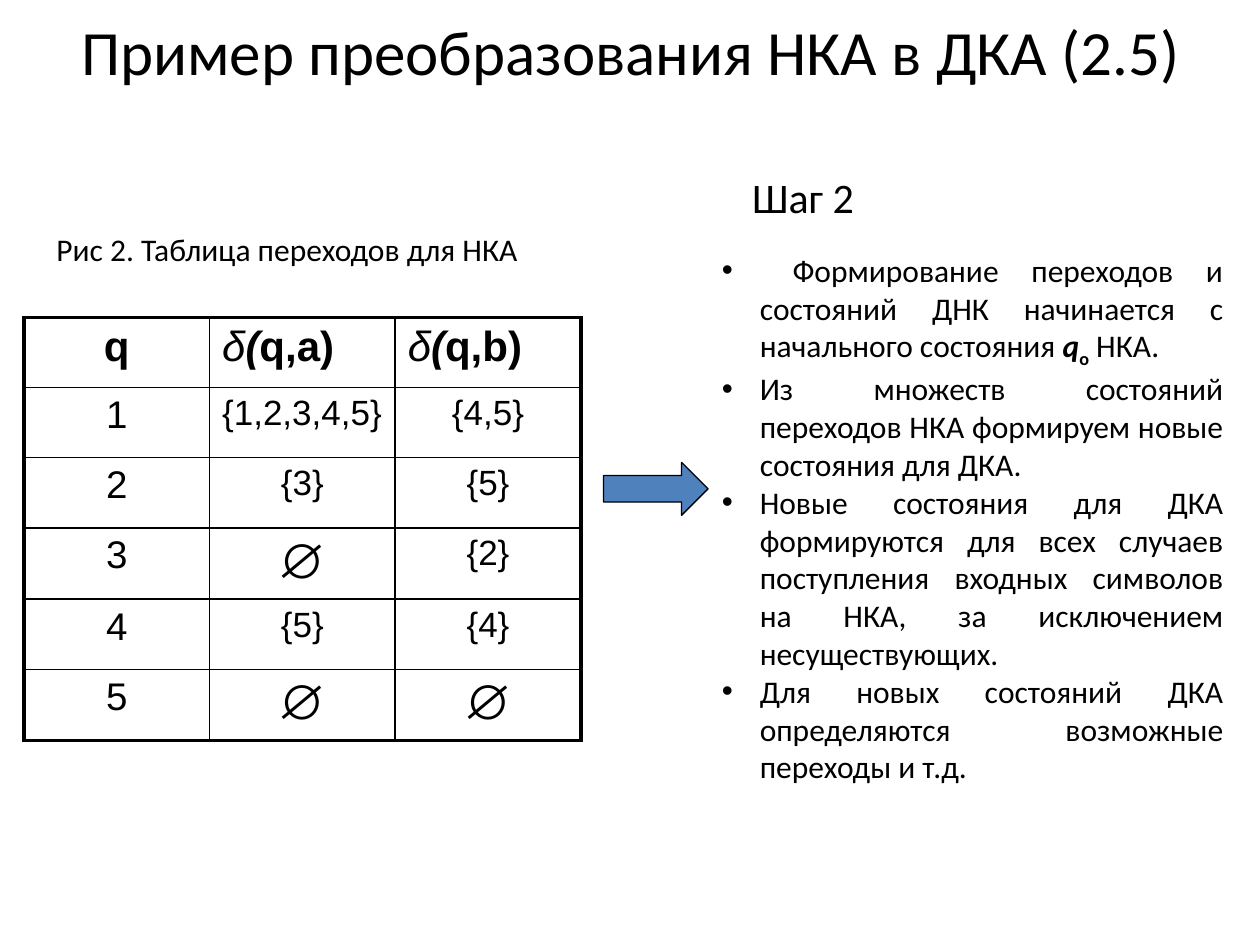
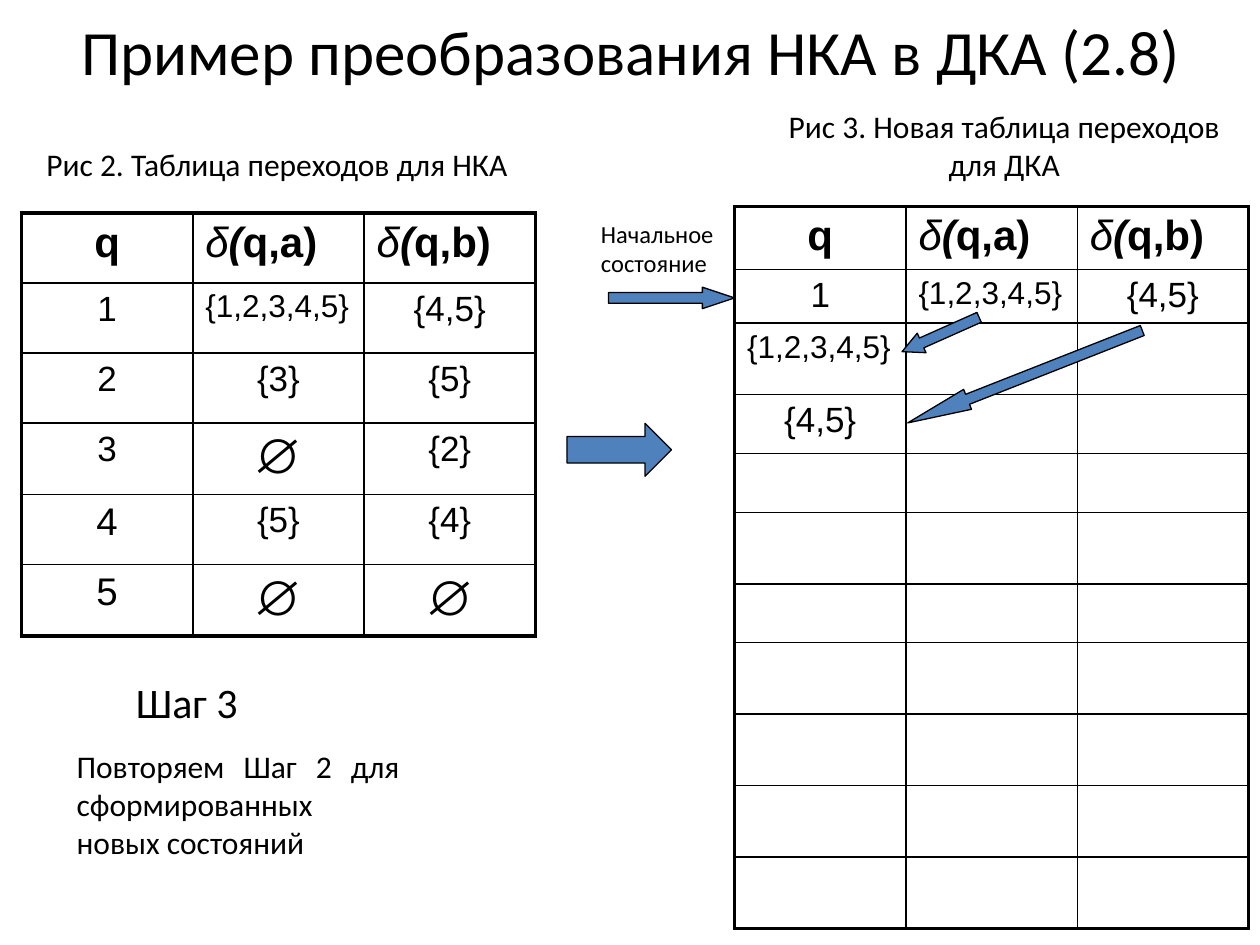
from dataclasses import dataclass
from typing import NamedTuple

from lxml import etree
from pptx import Presentation
from pptx import util as u
from pptx.dml.color import RGBColor
from pptx.enum import shapes, text
from pptx.oxml.ns import qn


@dataclass(frozen=True)
class Theme:
    body_font: str = "Calibri"
    table_font: str = "Arial"
    ink: str = "000000"
    accent: str = "4F81BD"
    title: int = 36
    step: int = 24
    body: int = 18
    note: int = 14
    header: int = 24
    states: int = 20
    empty_set: int = 28
    outline: float = 0.75
    outer_border: float = 2.25
    inner_border: float = 1


THEME = Theme()
WIDTH, HEIGHT = u.Inches(10), u.Inches(7.5)
ALL_STATES = "{1,2,3,4,5}"
HEADER = ("q", "δ(q,a)", "δ(q,b)")
NFA_ROWS = (
    HEADER,
    ("1", ALL_STATES, "{4,5}"),
    ("2", "{3}", "{5}"),
    ("3", "∅", "{2}"),
    ("4", "{5}", "{4}"),
    ("5", "∅", "∅"),
)
BLANK_ROW = ("", "", "")
DFA_ROWS = (
    HEADER,
    ("1", ALL_STATES, "{4,5}"),
    (ALL_STATES, "", ""),
    ("{4,5}", "", ""),
) + (BLANK_ROW,) * 7
NFA_HEIGHTS = (56, 56, 56, 57, 56, 57)
DFA_HEIGHTS = (50, 43, 57, 47, 47, 57, 47, 57, 57, 57, 57)
NFA_CAPTION = "Рис 2. Таблица переходов для НКА"


class Box(NamedTuple):
    """Percentages of the slide's width and height."""
    left: float
    top: float
    width: float
    height: float

    def emu(self) -> tuple[int, ...]:
        sides = (WIDTH, HEIGHT, WIDTH, HEIGHT)
        return tuple(round(side * share / 100) for side, share in zip(sides, self))


@dataclass(frozen=True)
class Label:
    box: Box
    words: str
    size: int
    align: text.PP_ALIGN = text.PP_ALIGN.LEFT
    wrap: bool = True


@dataclass(frozen=True)
class Arrow:
    box: Box
    head: float = 0.5
    kind: shapes.MSO_SHAPE = shapes.MSO_SHAPE.RIGHT_ARROW
    rotation: float = 0


@dataclass(frozen=True)
class TransitionTable:
    box: Box
    rows: tuple[tuple[str, ...], ...]
    heights: tuple[int, ...]
    state_sizes: tuple[int, ...]
    wide_size: int

    def size_at(self, row: int, column: int) -> int:
        entry = self.rows[row][column]
        if row == 0:
            return THEME.header
        if entry == ALL_STATES:
            return self.wide_size
        if entry == "∅":
            return THEME.empty_set
        if column == 0 and row <= len(self.state_sizes):
            return self.state_sizes[row - 1]
        return THEME.states


TITLE_BOX = Box(2, 0.67, 96.1, 9.33)
RULES_BOX = Box(56.3, 25.87, 41.8, 57.87)
RULES = (
    (" Формирование переходов и состояний ДНК начинается с начального состояния ", "q", "o", " НКА."),
    ("Из множеств состояний переходов НКА формируем новые состояния для ДКА.",),
    ("Новые состояния для ДКА формируются для всех случаев поступления входных "
     "символов на НКА, за исключением несуществующих.",),
    ("Для новых состояний ДКА определяются возможные переходы и т.д.",),
)

STEP_2 = (
    Arrow(Box(47.9, 48.93, 8.3, 5.6)),
    TransitionTable(Box(1.9, 33.6, 44.2, 44.8), NFA_ROWS, NFA_HEIGHTS, (22,) * 5, 20),
    Label(Box(3.5, 23.73, 39, 5.33), NFA_CAPTION, THEME.body, wrap=False),
    Label(Box(58.7, 17.47, 10.2, 6.8), "Шаг 2", THEME.step, wrap=False),
)
STEP_3 = (
    TransitionTable(Box(1.7, 22.53, 40.8, 44.8), NFA_ROWS, NFA_HEIGHTS, (20, 20, 20, 22, 22), 18),
    TransitionTable(Box(58.3, 21.87, 40.8, 76.4), DFA_ROWS, DFA_HEIGHTS, (20,), 18),
    Arrow(Box(48.3, 30.4, 10, 2.27), head=1.5),
    Arrow(Box(45, 44.8, 8.3, 5.6)),
    Label(Box(46.7, 22.53, 12.5, 7.6), "Начальное состояние", THEME.note),
    Label(Box(2.7, 14.67, 39, 5.33), NFA_CAPTION, THEME.body, wrap=False),
    Label(Box(61, 10.67, 37.4, 9.47), "Рис 3. Новая таблица переходов для ДКА",
          THEME.body, text.PP_ALIGN.CENTER),
    Arrow(Box(73.8, 30.93, 1.7, 8.93), 1, shapes.MSO_SHAPE.UP_ARROW, 246),
    Arrow(Box(80.5, 26.53, 1.7, 26.67), 3, shapes.MSO_SHAPE.UP_ARROW, 248.5),
    Label(Box(9.8, 70.93, 10.2, 6.8), "Шаг 3", THEME.step, wrap=False),
    Label(Box(5.1, 78.4, 27.6, 13.47), "Повторяем Шаг 2 для сформированных новых состояний",
          THEME.body, text.PP_ALIGN.JUSTIFY),
)


def set_font(font, size: int, name: str = THEME.body_font) -> None:
    font.name = name
    font.size = u.Pt(size)
    font.color.rgb = RGBColor.from_string(THEME.ink)


def place(shape, box: Box) -> None:
    shape.left, shape.top, shape.width, shape.height = box.emu()


def draw_title(slide, words: str) -> None:
    title = slide.shapes.title
    place(title, TITLE_BOX)
    title.text_frame.text = words
    title.text_frame.vertical_anchor = text.MSO_ANCHOR.MIDDLE
    heading = title.text_frame.paragraphs[0]
    heading.alignment = text.PP_ALIGN.CENTER
    set_font(heading.font, THEME.title)


def draw_rules(slide) -> None:
    body = slide.placeholders[1]
    place(body, RULES_BOX)
    frame = body.text_frame
    frame.auto_size = text.MSO_AUTO_SIZE.NONE
    for number, parts in enumerate(RULES):
        rule = frame.paragraphs[0] if number == 0 else frame.add_paragraph()
        rule.alignment = text.PP_ALIGN.JUSTIFY
        rule.space_before = u.Pt(0)
        indent = u.Inches(0.3)
        properties = rule._p.get_or_add_pPr()
        properties.set("marL", str(indent))
        properties.set("indent", str(-indent))
        set_font(rule.font, THEME.body)
        for part in parts:
            run = rule.add_run()
            run.text = part
            if part in ("q", "o"):
                run.font.bold = True
                run.font.italic = part == "q"
            if part == "o":
                run.font._element.set("baseline", "-25000")


def draw_label(slide, label: Label) -> None:
    frame = slide.shapes.add_textbox(*label.box.emu()).text_frame
    frame.word_wrap = label.wrap
    frame.text = label.words
    line = frame.paragraphs[0]
    line.alignment = label.align
    set_font(line.font, label.size)


def draw_arrow(slide, arrow: Arrow) -> None:
    shape = slide.shapes.add_shape(arrow.kind, *arrow.box.emu())
    shape.shadow.inherit = False
    shape.adjustments[0] = 0.5
    shape.adjustments[1] = arrow.head
    shape.rotation = arrow.rotation
    shape.fill.solid()
    shape.fill.fore_color.rgb = RGBColor.from_string(THEME.accent)
    shape.line.color.rgb = RGBColor.from_string(THEME.ink)
    shape.line.width = u.Pt(THEME.outline)


def set_borders(cell, outer_sides: dict[str, bool]) -> None:
    properties = cell._tc.get_or_add_tcPr()
    for position, (side, outer) in enumerate(outer_sides.items()):
        width = THEME.outer_border if outer else THEME.inner_border
        line = etree.Element(qn(f"a:ln{side}"), w=str(u.Pt(width)))
        fill = etree.SubElement(line, qn("a:solidFill"))
        etree.SubElement(fill, qn("a:srgbClr"), val=THEME.ink)
        properties.insert(position, line)


def write_entry(cell, entry: str, size: int, is_header: bool) -> None:
    line = cell.text_frame.paragraphs[0]
    is_function = entry.startswith("δ")
    left = is_function or entry == ALL_STATES
    line.alignment = text.PP_ALIGN.LEFT if left else text.PP_ALIGN.CENTER
    set_font(line.font, size, THEME.table_font)
    for part in ("δ", "(", entry[2:]) if is_function else (entry,):
        if part:
            run = line.add_run()
            run.text = part
            run.font.bold = is_header and part != "δ"
            run.font.italic = part in ("δ", "(")


def draw_table(slide, spec: TransitionTable) -> None:
    last_row, last_column = len(spec.rows) - 1, len(HEADER) - 1
    left, top, width, height = spec.box.emu()
    table = slide.shapes.add_table(last_row + 1, last_column + 1, left, top, width, height).table
    table.first_row = table.horz_banding = False
    for column in table.columns:
        column.width = width // len(HEADER)
    for r, (entries, share) in enumerate(zip(spec.rows, spec.heights)):
        table.rows[r].height = round(height * share / sum(spec.heights))
        for c, entry in enumerate(entries):
            cell = table.cell(r, c)
            cell.fill.background()
            set_borders(cell, {"L": c == 0, "R": c == last_column, "T": r == 0, "B": r == last_row})
            write_entry(cell, entry, spec.size_at(r, c), r == 0)


def draw_parts(slide, parts: tuple) -> None:
    painters = {Label: draw_label, Arrow: draw_arrow, TransitionTable: draw_table}
    for part in parts:
        painters[type(part)](slide, part)


def main() -> None:
    deck = Presentation()
    deck.slide_width, deck.slide_height = WIDTH, HEIGHT
    title_and_body, title_only = deck.slide_layouts[1], deck.slide_layouts[5]

    step_2 = deck.slides.add_slide(title_and_body)
    draw_title(step_2, "Пример преобразования НКА в ДКА (2.5)")
    draw_rules(step_2)
    draw_parts(step_2, STEP_2)

    step_3 = deck.slides.add_slide(title_only)
    draw_title(step_3, "Пример преобразования НКА в ДКА (2.8)")
    draw_parts(step_3, STEP_3)

    deck.save("out.pptx")


if __name__ == "__main__":
    main()
